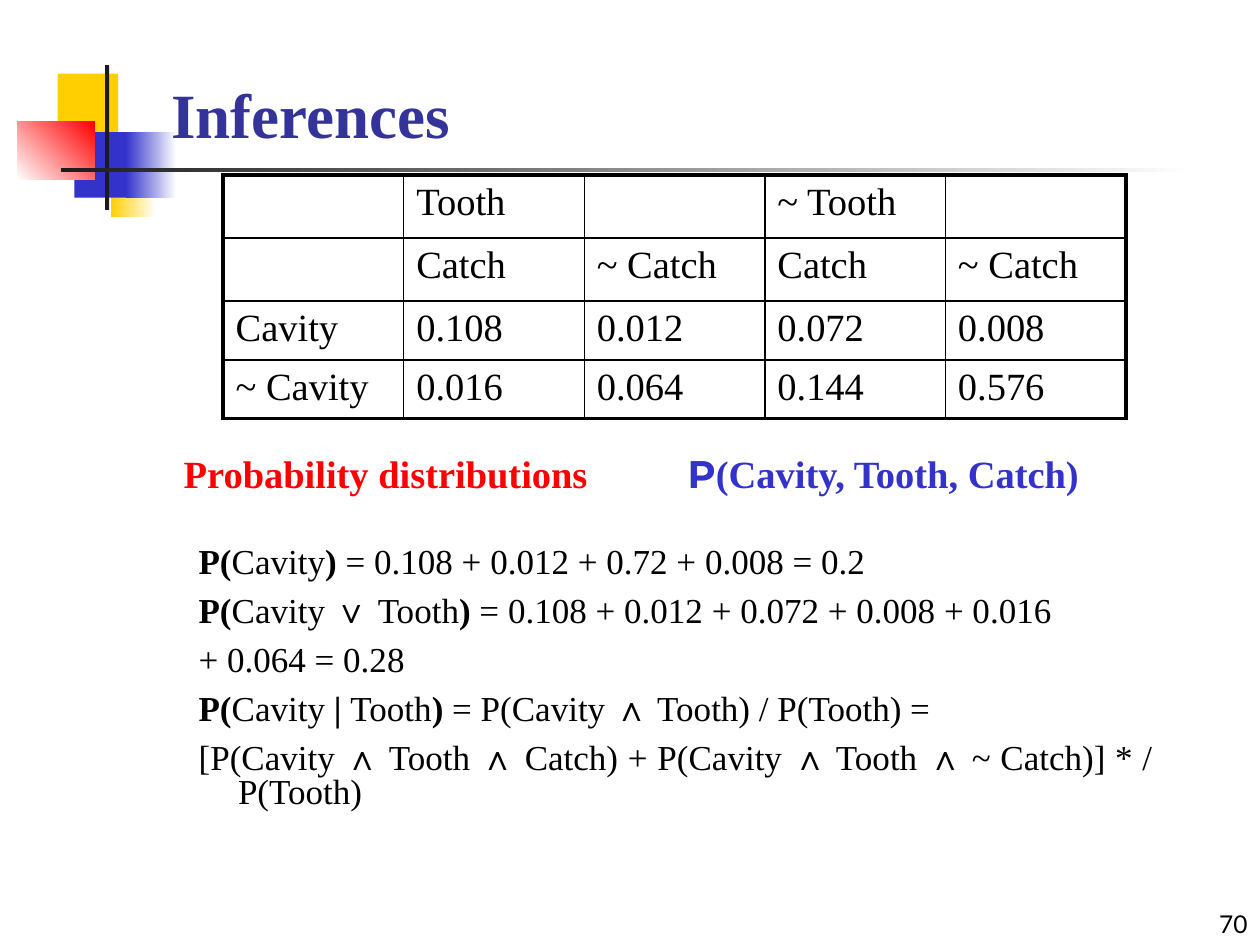
import pptx
import pptx.util
import pptx.dml.color
import pptx.enum.shapes
import pptx.enum.text
import pptx.oxml
import pptx.oxml.ns

Pt = pptx.util.Pt
ALIGN = pptx.enum.text.PP_ALIGN
ANCHOR = pptx.enum.text.MSO_ANCHOR
SERIF = "Times New Roman"


def color(value):
    return pptx.dml.color.RGBColor.from_string(value)


def add_span(para, text, size, shade="000000", bold=False, name=SERIF):
    span = para.add_run()
    span.text = text
    for key, value in {"size": Pt(size), "bold": bold, "name": name}.items():
        setattr(span.font, key, value)
    span.font.color.rgb = color(shade)


deck = pptx.Presentation()
deck.slide_width, deck.slide_height = Pt(720), Pt(540)
page = deck.slides.add_slide(deck.slide_layouts[6])

# Corner ornament and title rule: left, top, width, height, colours, angle
ornament = [
    (33, 42, 34.5, 37.5, ["FFCF01"], 0),
    (63.3, 86.5, 26, 37.5, ["FFCF01", "FFFFFF"], 0),
    (42.5, 75.5, 33, 37.5, ["3333CC"], 0),
    (72, 75.5, 28.8, 37.5, ["3333CC", "FFFFFF"], 0),
    (10, 69.5, 44.2, 33.3, ["FFFFFF", "FF0000"], 45),
    (60, 37.2, 2.4, 82.8, ["1C1C1C"], 0),
    (34.8, 96, 648, 2.2, ["1C1C1C", "FFFFFF"], 0),
]
for left, top, width, height, shades, angle in ornament:
    block = page.shapes.add_shape(
        pptx.enum.shapes.MSO_SHAPE.RECTANGLE, Pt(left), Pt(top), Pt(width), Pt(height))
    block.shadow.inherit = False
    block.line.fill.background()
    if len(shades) == 1:
        block.fill.solid()
        block.fill.fore_color.rgb = color(shades[0])
    else:
        block.fill.gradient()
        block.fill.gradient_angle = angle
        for stop, shade, position in zip(block.fill.gradient_stops, shades, (0, 1)):
            stop.color.rgb = color(shade)
            stop.position = position

# Text boxes: title, body, page number
frames = []
for left, top, width, height, anchor in [
    (90.7, 12.2, 613.4, 77.8, ANCHOR.BOTTOM),
    (97.9, 258.5, 568.1, 254.9, ANCHOR.TOP),
    (671.8, 516.2, 48.2, 23.8, ANCHOR.BOTTOM),
]:
    box = page.shapes.add_textbox(Pt(left), Pt(top), Pt(width), Pt(height))
    box.text_frame.word_wrap = True
    box.text_frame.vertical_anchor = anchor
    frames.append(box.text_frame)
title, body, number = frames

add_span(title.paragraphs[0], "Inferences", 36, "333399", True)
number.paragraphs[0].alignment = ALIGN.RIGHT
add_span(number.paragraphs[0], "70", 14, name="Lato")

# Body heading, with a tab stop before the formula
heading = body.paragraphs[0]
heading.alignment = ALIGN.JUSTIFY
heading.line_spacing = 0.8
heading._p.get_or_add_pPr().append(pptx.oxml.parse_xml(
    f'<a:tabLst {pptx.oxml.ns.nsdecls("a")}><a:tab pos="{Pt(288)}" algn="l"/></a:tabLst>'))
add_span(heading, "Probability distributions\t", 22, "FF0000", True)
add_span(heading, "P", 22, "3333CC", True, "Montserrat")
add_span(heading, "(Cavity, Tooth, Catch)", 22, "3333CC", True)

# Inference lines: pieces alternate between bold and regular
inferences = [
    ["P(", "Cavity", ")", " = 0.108 + 0.012 + 0.72 + 0.008 = 0.2"],
    ["P(", "Cavity", " ∨ ", "Tooth", ")", " = 0.108 + 0.012 + 0.072 + 0.008 + 0.016"],
    ["", "+ 0.064 = 0.28"],
    ["P(", "Cavity", " | ", "Tooth", ")", " = P(Cavity ∧ Tooth) / P(Tooth) ="],
    ["", "[P(Cavity ∧ Tooth ∧ Catch) + P(Cavity ∧ Tooth ∧ ~ Catch)] * / P(Tooth)"],
]
for row, pieces in enumerate(inferences):
    para = body.add_paragraph()
    layout = {"alignment": ALIGN.JUSTIFY, "line_spacing": 0.8,
              "space_before": Pt(4.4 if row else 30), "space_after": Pt(4.4)}
    for key, value in layout.items():
        setattr(para, key, value)
    properties = para._p.get_or_add_pPr()
    properties.set("marL", str(Pt(31)))
    properties.set("indent", str(Pt(-22.5)))
    for index, piece in enumerate(pieces):
        if piece:
            add_span(para, piece, 20, bold=index % 2 == 0)

# Joint distribution table
values = [
    ["", "Tooth", "", "~ Tooth", ""],
    ["", "Catch", "~ Catch", "Catch", "~ Catch"],
    ["Cavity", "0.108", "0.012", "0.072", "0.008"],
    ["~ Cavity", "0.016", "0.064", "0.144", "0.576"],
]
table = page.shapes.add_table(4, 5, Pt(127.5), Pt(100), Pt(516), Pt(139)).table
table.first_row = table.horz_banding = False
for column in table.columns:
    column.width = Pt(103.2)
for row, height in zip(table.rows, (36, 36, 33.5, 33.5)):
    row.height = Pt(height)
for row, texts in enumerate(values):
    for column, text in enumerate(texts):
        cell = table.cell(row, column)
        if text:
            add_span(cell.text_frame.paragraphs[0], text, 22)
        outer = {"L": column == 0, "R": column == 4, "T": row == 0, "B": row == 3}
        for side, is_outer in outer.items():
            cell._tc.get_or_add_tcPr().append(pptx.oxml.parse_xml(
                f'<a:ln{side} {pptx.oxml.ns.nsdecls("a")} w="{Pt(2.25 if is_outer else 1)}">'
                f'<a:solidFill><a:srgbClr val="000000"/></a:solidFill></a:ln{side}>'))
        cell.fill.background()

deck.save("out.pptx")
